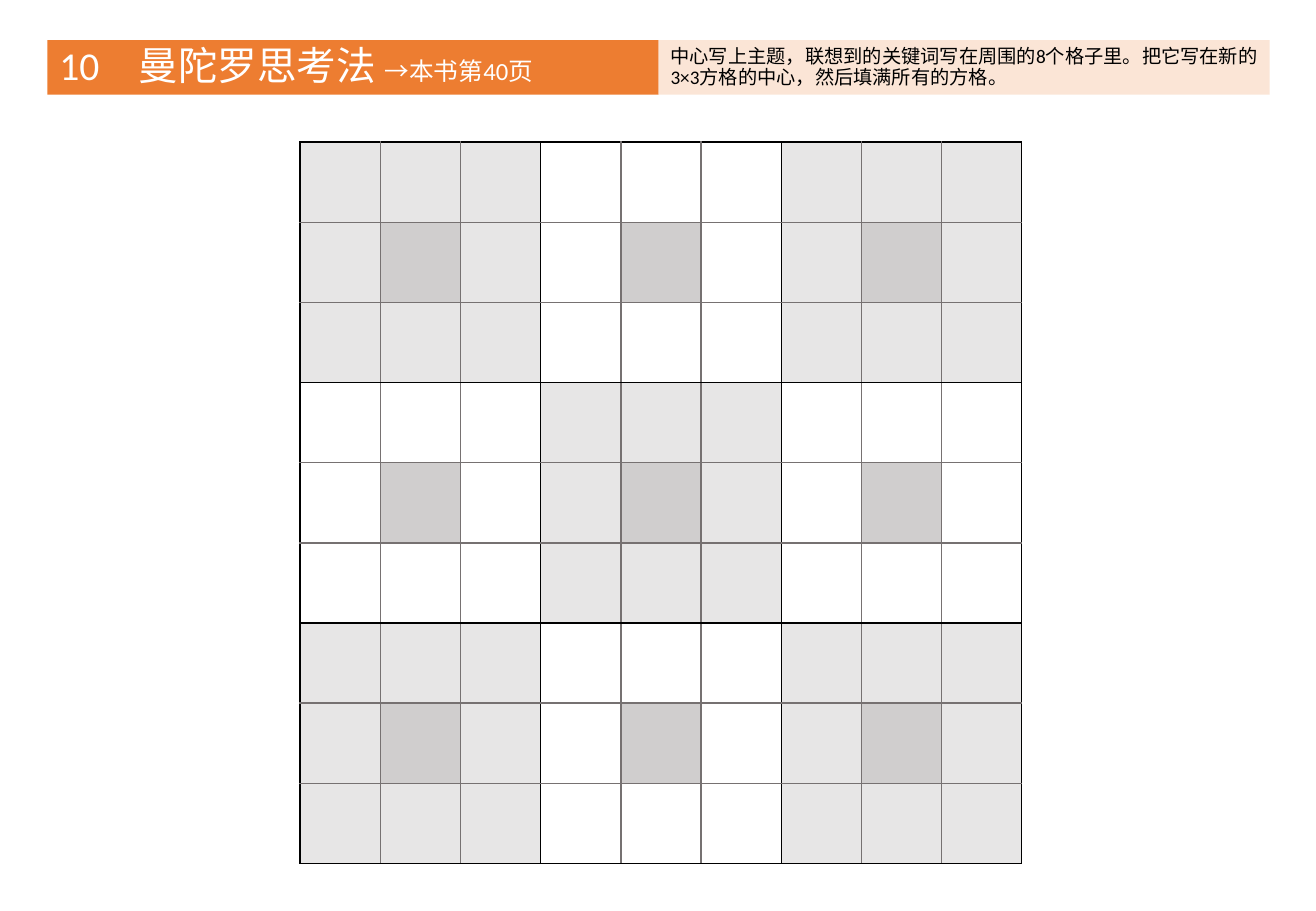
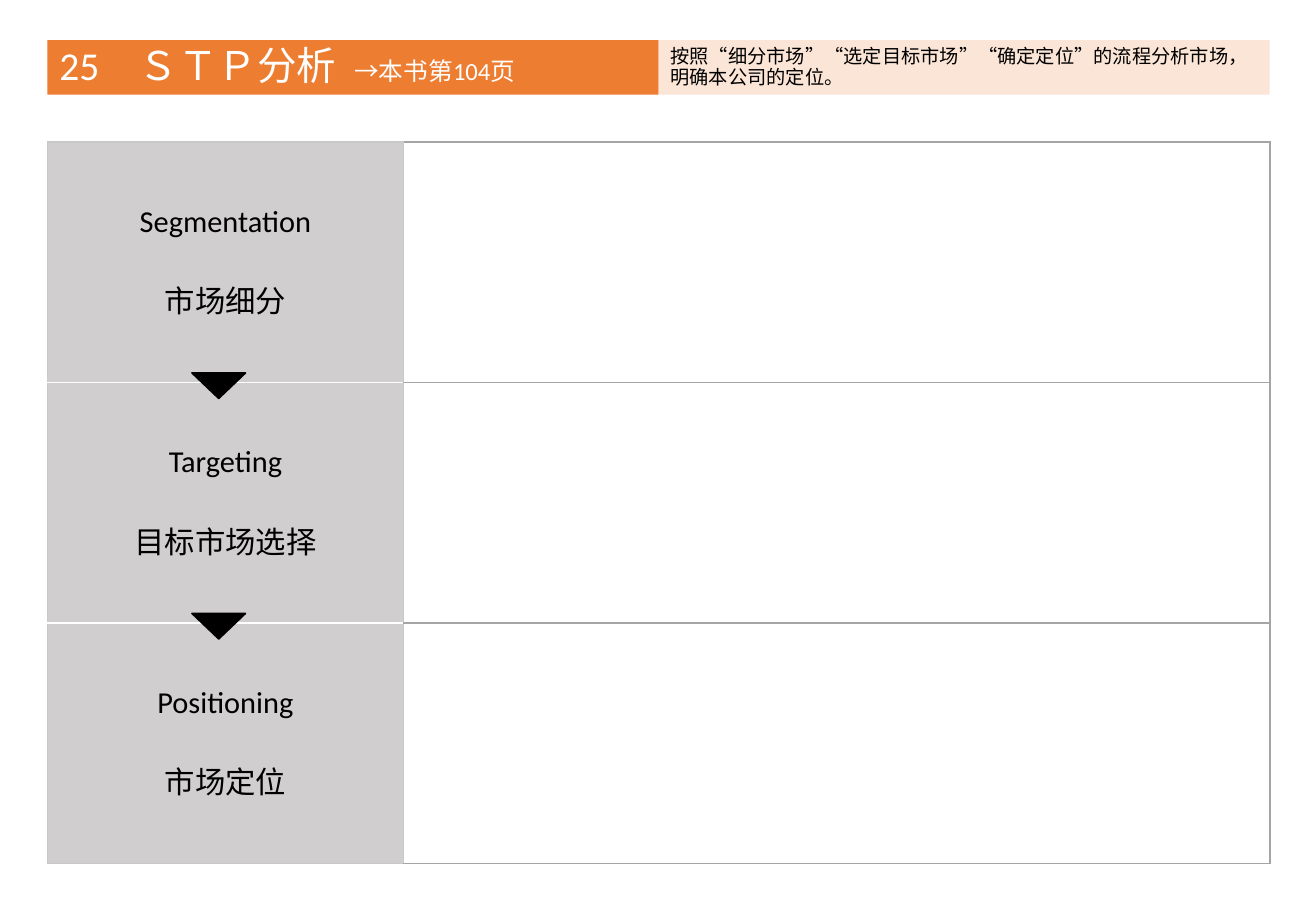
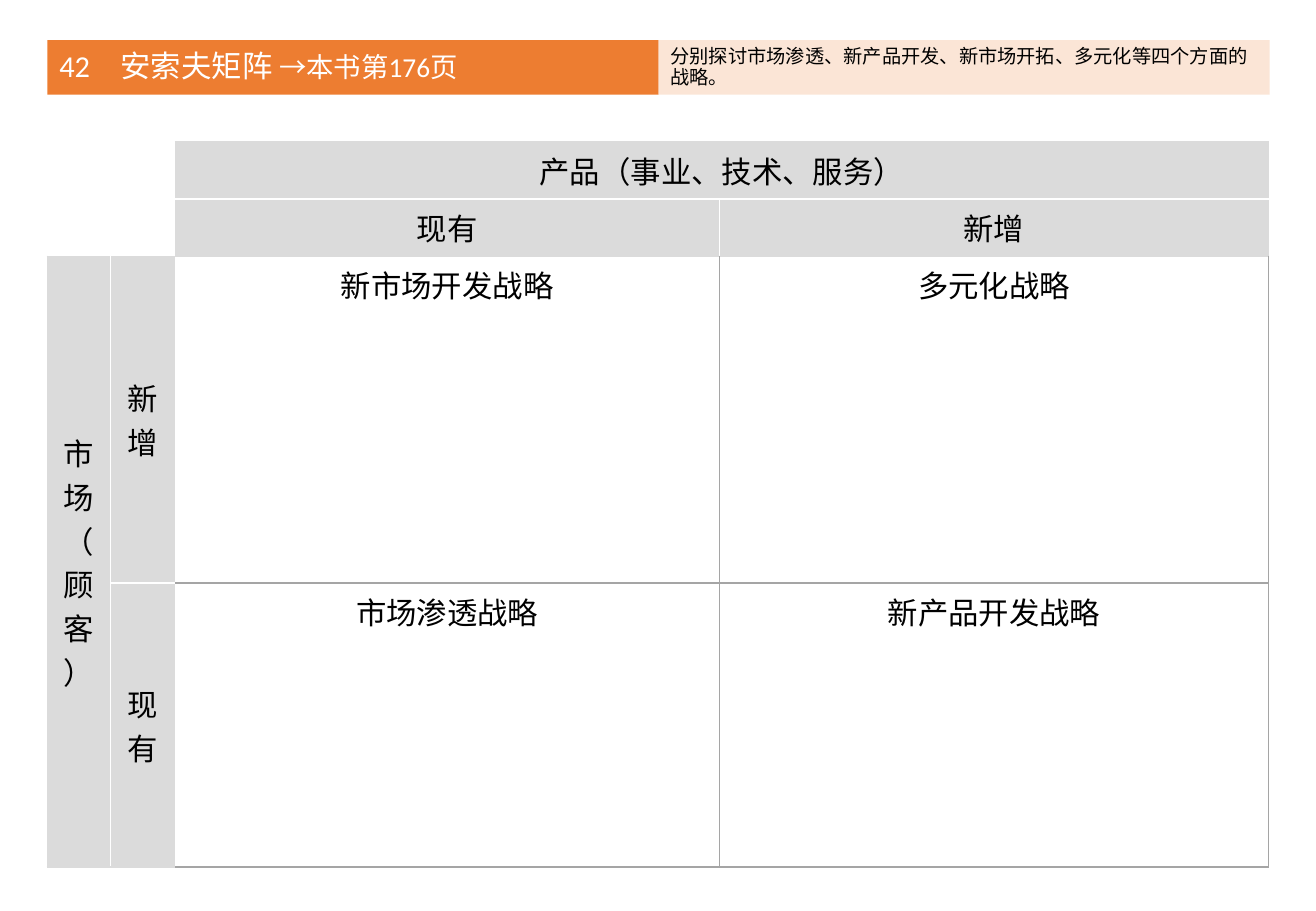
import pptx
import pptx.util
import pptx.dml.color
import pptx.enum.lang
import pptx.enum.shapes
import pptx.enum.text
import pptx.oxml.ns
import lxml.etree

PX = 9144
FONT = "Calibri"
HUES = {
    "orange": "ED7D31", "peach": "FBE5D6", "pale": "E7E6E6", "mid": "D0CECE",
    "k": "000000", "w": "FFFFFF", "m": "767171", "a": "A5A5A5",
    "c": "C9C9C9", "g": "DBDBDB",
}
RGB = {name: pptx.dml.color.RGBColor.from_string(code) for name, code in HUES.items()}
SHAPE = pptx.enum.shapes.MSO_SHAPE
ALIGN = pptx.enum.text.PP_ALIGN
MIDDLE = pptx.enum.text.MSO_ANCHOR.MIDDLE
CHINESE = pptx.enum.lang.MSO_LANGUAGE_ID.SIMPLIFIED_CHINESE


def style(run, size, hue):
    run.font.name = FONT
    run.font.size = pptx.util.Pt(size)
    run.font.color.rgb = RGB[hue]
    run.font.language_id = CHINESE


def paint(cell, fill, edges, lines=(), gap=0, middle=True):
    props = cell._tc.get_or_add_tcPr()
    for side, hue in zip("LRTB", edges):
        line = lxml.etree.SubElement(props, pptx.oxml.ns.qn("a:ln" + side), w="12700")
        if hue == "-":
            lxml.etree.SubElement(line, pptx.oxml.ns.qn("a:noFill"))
        else:
            solid = lxml.etree.SubElement(line, pptx.oxml.ns.qn("a:solidFill"))
            lxml.etree.SubElement(solid, pptx.oxml.ns.qn("a:srgbClr"), val=HUES[hue])
    cell.fill.solid()
    cell.fill.fore_color.rgb = RGB[fill]
    if middle:
        cell.vertical_anchor = MIDDLE
    if lines:
        cell.text_frame.text = "\n".join(lines)
        for i, para in enumerate(cell.text_frame.paragraphs):
            para.alignment = ALIGN.CENTER
            if i:
                para.space_before = pptx.util.Pt(gap)
            style(para.runs[0], 18, "k")


deck = pptx.Presentation()
deck.slide_width = 1083 * PX
deck.slide_height = 750 * PX

heads = [
    ([("10　曼陀罗思考法 ", 23.4), ("→本书第40页", 14.6)],
     "中心写上主题，联想到的关键词写在周围的8个格子里。把它写在新的3×3方格的中心，然后填满所有的方格。"),
    ([("25　ＳＴＰ分析", 23.4), ("　", 10.6), ("→本书第104页", 14.6)],
     "按照“细分市场”“选定目标市场”“确定定位”的流程分析市场，明确本公司的定位。"),
    ([("42　安索夫矩阵 ", 18), ("→本书第176页", 16.2)],
     "分别探讨市场渗透、新产品开发、新市场开拓、多元化等四个方面的战略。"),
]
grids = [
    (247, [66] * 9, [66] * 9),
    (39, [293, 713], [198] * 3),
    (39, [52, 53, 448, 452], [47, 47, 269, 234]),
]
slides, tables = [], []
for (title, hint), (left, cols, rows) in zip(heads, grids):
    slide = deck.slides.add_slide(deck.slide_layouts[6])
    slides.append(slide)
    bands = [(39, "orange", "w", title), (542, "peach", "k", [(hint, 11.4)])]
    for x, fill, ink, parts in bands:
        band = slide.shapes.add_shape(SHAPE.RECTANGLE, x * PX, 33 * PX, 503 * PX, 45 * PX)
        band.shadow.inherit = False
        band.fill.solid()
        band.fill.fore_color.rgb = RGB[fill]
        band.line.fill.background()
        band.text_frame.word_wrap = True
        band.text_frame.vertical_anchor = MIDDLE
        para = band.text_frame.paragraphs[0]
        para.alignment = ALIGN.LEFT
        para.line_spacing = 0.9
        for text, size in parts:
            run = para.add_run()
            run.text = text
            style(run, size, ink)
    frame = slide.shapes.add_table(
        len(rows), len(cols), left * PX, 117 * PX, sum(cols) * PX, sum(rows) * PX)
    table = frame.table
    table.first_row = False
    table.horz_banding = False
    for col, width in zip(table.columns, cols):
        col.width = width * PX
    for row, height in zip(table.rows, rows):
        row.height = height * PX
    tables.append(table)

mandala, steps, matrix = tables

for r in range(9):
    for c in range(9):
        if r % 3 == 1 and c % 3 == 1:
            fill = "mid"
        else:
            fill = "w" if (r // 3 + c // 3) % 2 else "pale"
        edges = "".join("k" if hit else "m" for hit in
                        (c % 3 == 0, c % 3 == 2, r % 3 == 0, r % 3 == 2))
        paint(mandala.cell(r, c), fill, edges)

stages = [
    (("Segmentation", "市场细分"), "cccw"),
    (("Targeting", "目标市场选择"), "ccww"),
    (("Positioning", "市场定位"), "ccwc"),
]
for r, (lines, edges) in enumerate(stages):
    paint(steps.cell(r, 0), "mid", edges, lines, 22)
    paint(steps.cell(r, 1), "w", "caaa")
for i in range(2):
    mark = slides[1].shapes.add_shape(
        SHAPE.ISOSCELES_TRIANGLE, 158 * PX, (307 + 198 * i) * PX, 44 * PX, 21 * PX)
    mark.rotation = 180
    mark.shadow.inherit = False
    mark.fill.solid()
    mark.fill.fore_color.rgb = RGB["k"]
    mark.line.color.rgb = RGB["k"]
    mark.line.width = pptx.util.Pt(1)

words = [
    ["", "", "产品（事业、技术、服务）", ""],
    ["", "", "现有", "新增"],
    ["市场（顾客）", "新增", "新市场开发战略", "多元化战略"],
    ["", "现有", "市场渗透战略", "新产品开发战略"],
]
borders = [
    ["wwww", "w-ww", "-ggw", "-ggw"],
    ["w-wg", "--wg", "-wwg", "wgwg"],
    ["gwgg", "w-gw", "-aga", "aaga"],
    ["gwgg", "w-wg", "-aaa", "aaaa"],
]
matrix.cell(0, 2).merge(matrix.cell(0, 3))
matrix.cell(2, 0).merge(matrix.cell(3, 0))
for r in range(4):
    for c in range(4):
        cell = matrix.cell(r, c)
        label = (r < 2) != (c < 2)
        text = words[r][c]
        paint(cell, "g" if label else "w", borders[r][c],
              [text] if text else [], middle=label)
        if label and c < 2:
            cell._tc.get_or_add_tcPr().set("vert", "eaVert")

deck.save("out.pptx")
